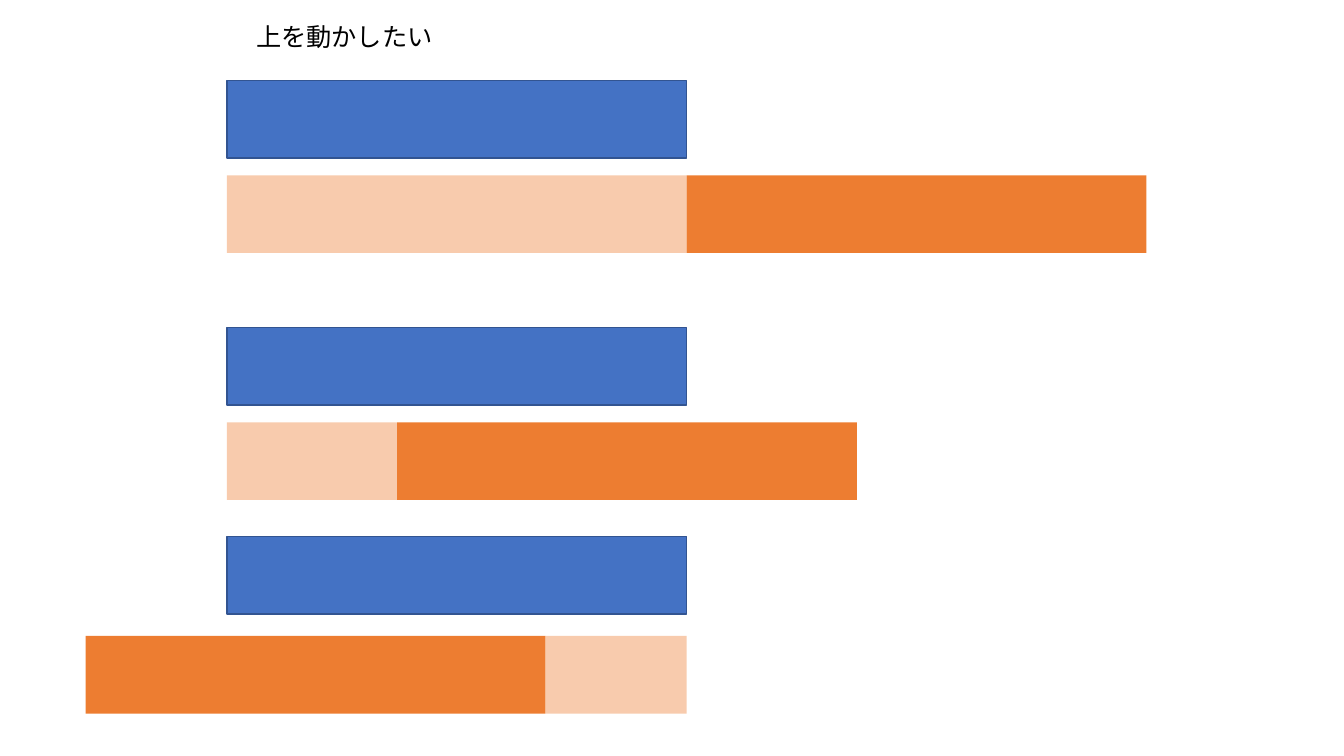
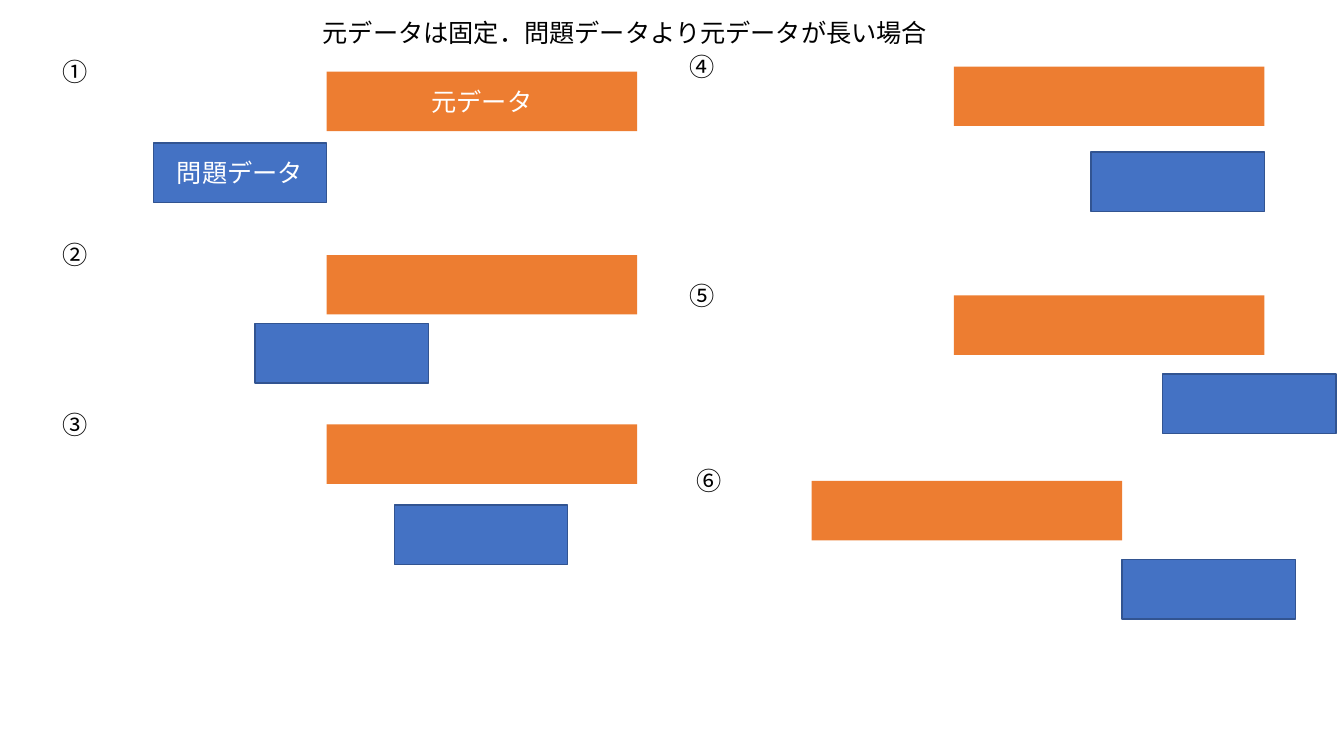
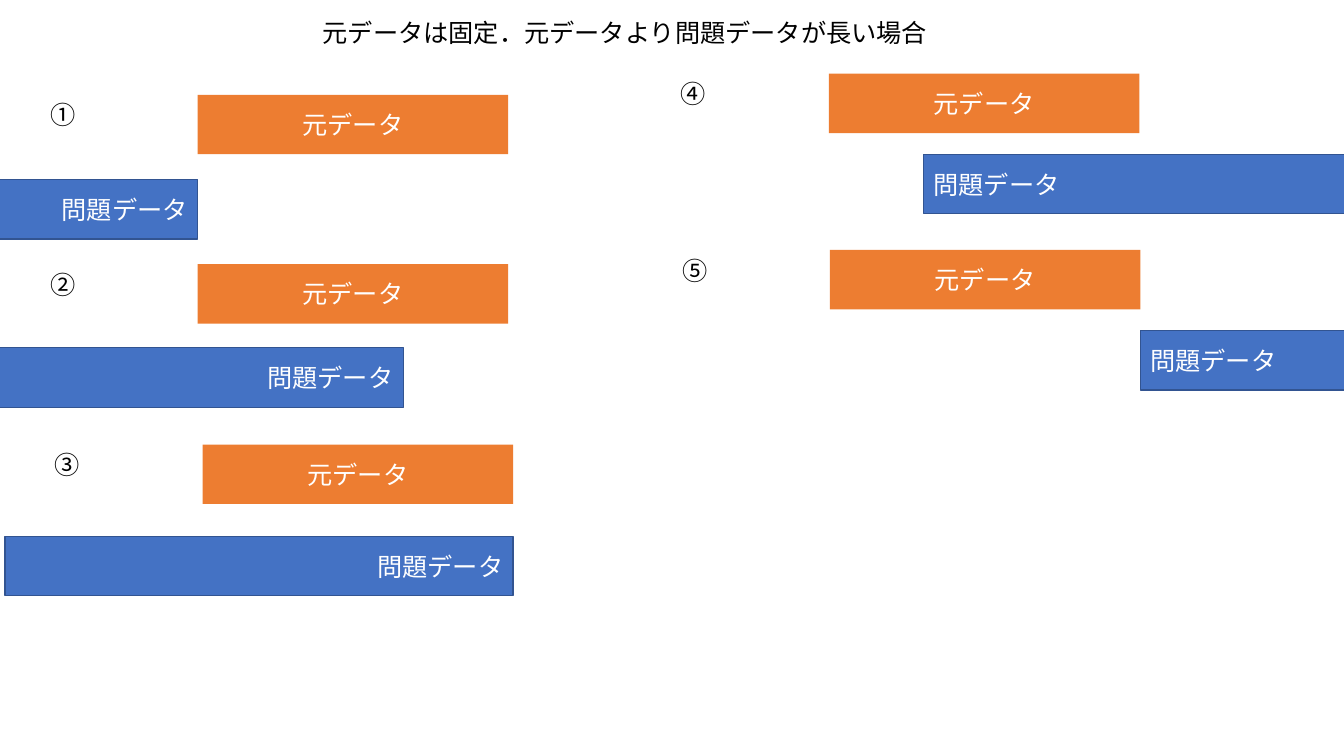
from dataclasses import dataclass

from lxml.etree import SubElement
from pptx import Presentation
from pptx.dml.color import RGBColor
from pptx.enum.shapes import MSO_SHAPE
from pptx.enum.text import MSO_ANCHOR, MSO_AUTO_SIZE, PP_ALIGN
from pptx.oxml.ns import qn
from pptx.util import Inches, Pt

ROWS = 75
SLIDE_WIDTH, SLIDE_HEIGHT = Inches(13.33), Inches(7.5)
CELL = SLIDE_HEIGHT // ROWS
TITLE_ONLY = 5


@dataclass(frozen=True)
class Theme:
    blue: str = "4472C4"
    blue_edge: str = "325491"
    orange: str = "ED7D31"
    pale: str = "F8CBAD"
    ink: str = "000000"
    paper: str = "FFFFFF"
    font: str = "Noto Sans CJK JP"
    size: int = 18
    edge: int = 1


@dataclass(frozen=True)
class Box:
    left: float
    top: float
    width: float
    height: float

    @property
    def right(self):
        return self.left + self.width

    def emu(self):
        return [round(cells * CELL) for cells in (self.left, self.top, self.width, self.height)]


THEME = Theme()
SOURCE_LABEL, QUERY_LABEL = "元データ", "問題データ"
SOURCE_WIDTH, BAR_HEIGHT = 30.8, 5.9
SHORT_QUERY, LONG_QUERY = 17.2, 50.4
WIDE_BAR = 45.6, 7.7
CASE_TITLE = Box(31, 1.2, 71.9, 4)


def write(shape, text, color, align=PP_ALIGN.LEFT):
    paragraph = shape.text_frame.paragraphs[0]
    paragraph.text = text
    paragraph.alignment = align
    font = paragraph.font
    font.size = Pt(THEME.size)
    font.bold = False
    font.color.rgb = RGBColor.from_string(color)
    font.name = THEME.font
    defaults = paragraph._p.pPr.find(qn("a:defRPr"))
    SubElement(defaults, qn("a:ea")).set("typeface", THEME.font)


def write_growing(shape, text):
    frame = shape.text_frame
    frame.word_wrap = True
    frame.auto_size = MSO_AUTO_SIZE.SHAPE_TO_FIT_TEXT
    frame.vertical_anchor = MSO_ANCHOR.TOP
    write(shape, text, THEME.ink)


def add_titled_slide(presentation, text, box):
    slide = presentation.slides.add_slide(presentation.slide_layouts[TITLE_ONLY])
    title = slide.shapes.title
    title.left, title.top, title.width, title.height = box.emu()
    write_growing(title, text)
    return slide


def add_bar(slide, box, fill, edge=None, label=None, align=PP_ALIGN.CENTER):
    bar = slide.shapes.add_shape(MSO_SHAPE.RECTANGLE, *box.emu())
    bar.shadow.inherit = False
    bar.fill.solid()
    bar.fill.fore_color.rgb = RGBColor.from_string(fill)
    if edge:
        bar.line.color.rgb = RGBColor.from_string(edge)
        bar.line.width = Pt(THEME.edge)
    else:
        bar.line.fill.background()
    if label:
        bar.text_frame.vertical_anchor = MSO_ANCHOR.MIDDLE
        write(bar, label, THEME.paper, align)


def add_shifted_pair(slide, fixed, shift, drop):
    gap = abs(shift)
    top = fixed.top + drop
    gap_left = fixed.left if shift > 0 else fixed.right - gap
    add_bar(slide, fixed, THEME.blue, THEME.blue_edge)
    add_bar(slide, Box(gap_left, top, gap, fixed.height), THEME.pale)
    add_bar(slide, Box(fixed.left + shift, top, fixed.width, fixed.height), THEME.orange)


def add_case(slide, number, number_box, source, query, labelled, query_align):
    add_bar(slide, query, THEME.blue, THEME.blue_edge, QUERY_LABEL if labelled else None, query_align)
    add_bar(slide, source, THEME.orange, label=SOURCE_LABEL if labelled else None)
    write_growing(slide.shapes.add_textbox(*number_box.emu()), number)


def build_shift_slide(presentation):
    slide = add_titled_slide(presentation, "上を動かしたい", Box(24.4, 1.6, 58.9, 4))
    width, height = WIDE_BAR
    for top, shift, drop in ((8, width, 9.4), (32.5, 16.9, 9.4), (53.2, -14, 9.9)):
        add_shifted_pair(slide, Box(22.5, top, width, height), shift, drop)


def build_case_slide(presentation, title, query_width, raised, cases, all_labelled):
    slide = add_titled_slide(presentation, title, CASE_TITLE)
    for index, (number, left, top, indent, shift, drop) in enumerate(cases):
        source = Box(left + indent, top, SOURCE_WIDTH, BAR_HEIGHT)
        query = Box(source.left + shift, top + drop, query_width, BAR_HEIGHT)
        align = PP_ALIGN.CENTER
        if all_labelled:
            align = PP_ALIGN.RIGHT if shift < 0 else PP_ALIGN.LEFT
        add_case(slide, number, Box(left, top - raised, 17.6, 4), source, query,
                 all_labelled or index == 0, align)


def build_short_query_slide(presentation):
    flush = SOURCE_WIDTH - SHORT_QUERY
    cases = (
        ("①", 5.2, 7.1, 27.2, -SHORT_QUERY, 7.1),
        ("②", 5.2, 25.3, 27.2, -7.1, 6.8),
        ("③", 5.2, 42.1, 27.2, 6.7, 8),
        ("④", 67.4, 6.6, 27.2, flush, 8.5),
        ("⑤", 67.4, 29.3, 27.2, 20.7, 7.8),
        ("⑥", 68.1, 47.7, 12.4, SOURCE_WIDTH, 7.8),
    )
    build_case_slide(presentation, "元データは固定．問題データより元データが長い場合",
                     SHORT_QUERY, 2, cases, False)


def build_long_query_slide(presentation):
    flush = SOURCE_WIDTH - LONG_QUERY
    cases = (
        ("①", 4, 9.4, 15.6, -LONG_QUERY, 8.4),
        ("②", 4, 26.2, 15.6, -30, 8.3),
        ("③", 4.4, 44.1, 15.7, flush, 9.1),
        ("④", 66.5, 7.3, 15.7, 9.4, 8),
        ("⑤", 66.7, 24.8, 15.6, SOURCE_WIDTH, 8),
    )
    build_case_slide(presentation, "元データは固定．元データより問題データが長い場合",
                     LONG_QUERY, 0, cases, True)


def main():
    presentation = Presentation()
    presentation.slide_width, presentation.slide_height = SLIDE_WIDTH, SLIDE_HEIGHT
    build_shift_slide(presentation)
    build_short_query_slide(presentation)
    build_long_query_slide(presentation)
    presentation.save("out.pptx")


if __name__ == "__main__":
    main()
